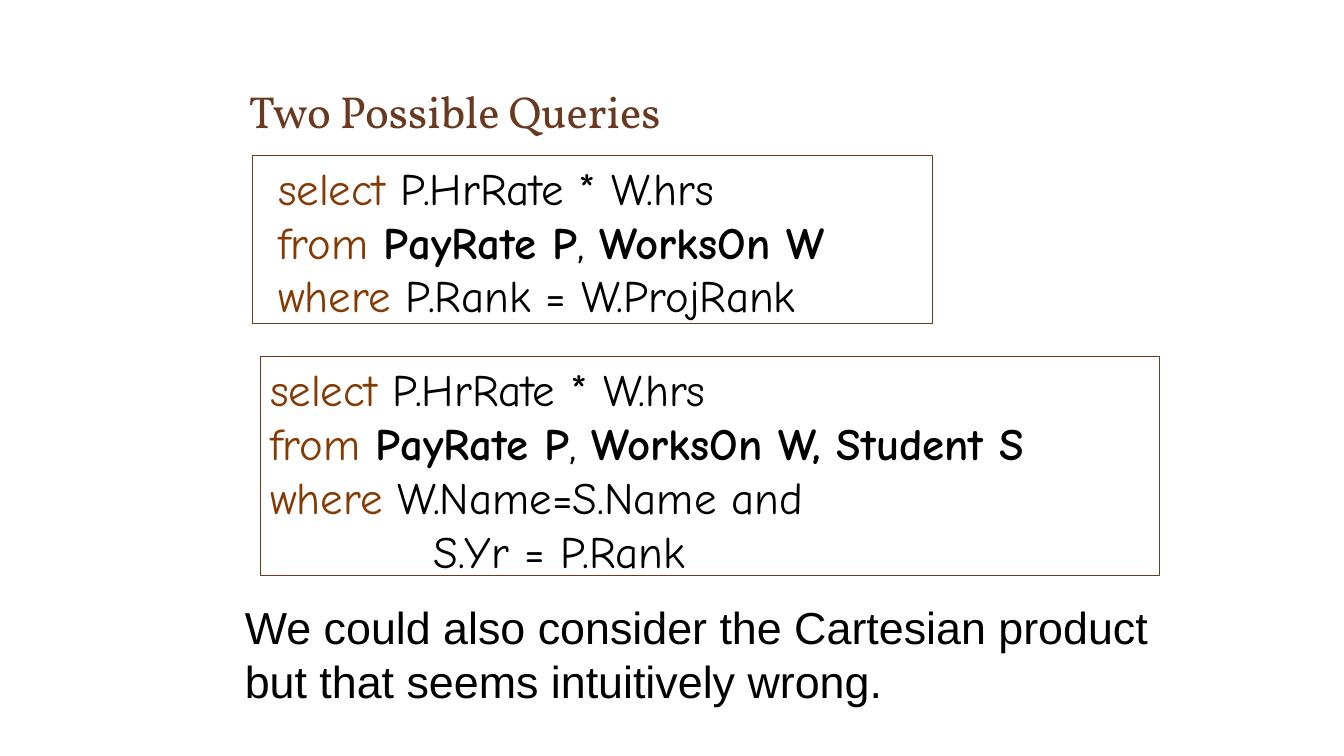
from dataclasses import dataclass

import pptx
import pptx.dml.color
import pptx.enum.shapes
import pptx.enum.text
import pptx.util

EMU_PER_PX = 9144


@dataclass(frozen=True)
class Theme:
    brown: str = "6A3A20"
    keyword: str = "833A03"
    black: str = "000000"
    title_font: str = "Vollkorn"
    code_font: str = "Comic Neue"
    body_font: str = "Arial"
    text_size: int = 32
    line_pitch: float = 38.5
    border: float = 0.75


def px(length):
    return pptx.util.Emu(length * EMU_PER_PX)


def rgb(color):
    return pptx.dml.color.RGBColor.from_string(color)


class SlideBuilder:
    def __init__(self, slide, theme):
        self.slide = slide
        self.theme = theme

    def text(self, box, lines, font, pitch=None, anchor="TOP"):
        """Each line is (indent, runs); each run is (text, color, bold)."""
        shape = self.slide.shapes.add_textbox(*map(px, box))
        frame = shape.text_frame
        frame.word_wrap = True
        frame.vertical_anchor = getattr(pptx.enum.text.MSO_ANCHOR, anchor)
        for number, (indent, runs) in enumerate(lines):
            paragraph = frame.add_paragraph() if number else frame.paragraphs[0]
            if pitch:
                paragraph.line_spacing = pptx.util.Pt(pitch)
            if indent:
                paragraph._p.get_or_add_pPr().set("marL", str(px(indent)))
            for text, color, bold in runs:
                run = paragraph.add_run()
                run.text = text
                run.font.name = font
                run.font.size = pptx.util.Pt(self.theme.text_size)
                run.font.bold = bold
                run.font.color.rgb = rgb(color)

    def title(self, box, text):
        line = (0, [(text, self.theme.brown, False)])
        self.text(box, [line], self.theme.title_font, anchor="BOTTOM")

    def note(self, box, lines):
        self.text(box, [(0, [(line, self.theme.black, False)]) for line in lines],
                  self.theme.body_font, self.theme.line_pitch)

    def query(self, box, lines):
        """Each line is (indent, keyword, pieces); the odd pieces are plain, the others bold."""
        theme = self.theme
        styled = []
        for indent, keyword, pieces in lines:
            runs = [(keyword + " ", theme.keyword, False)] if keyword else []
            runs += [(piece, theme.black, number % 2 == 0)
                     for number, piece in enumerate(pieces, 1) if piece]
            styled.append((indent, runs))
        self.text(box, styled, theme.code_font, theme.line_pitch)

    def frame(self, box):
        shape = self.slide.shapes.add_shape(
            pptx.enum.shapes.MSO_SHAPE.RECTANGLE, *map(px, box))
        shape.shadow.inherit = False
        shape.fill.background()
        shape.line.color.rgb = rgb(self.theme.brown)
        shape.line.width = pptx.util.Pt(self.theme.border)


def main():
    presentation = pptx.Presentation()
    presentation.slide_width = px(1333)
    presentation.slide_height = px(750)
    slide = presentation.slides.add_slide(presentation.slide_layouts[6])
    builder = SlideBuilder(slide, Theme())

    builder.title((237, 75, 850, 66), "Two Possible Queries")
    select = (0, "select", ["P.HrRate * W.hrs"])
    builder.query((266, 154, 628, 172), [
        select,
        (0, "from", ["", "PayRate P", ", ", "WorksOn W"]),
        (0, "where", ["P.Rank = W.ProjRank"]),
    ])
    builder.query((258, 354, 889, 226), [
        select,
        (0, "from", ["", "PayRate P", ", ", "WorksOn W, Student S"]),
        (0, "where", ["W.Name=S.Name and"]),
        (162, "", ["S.Yr = P.Rank"]),
    ])
    builder.note((233, 590, 930, 117), [
        "We could also consider the Cartesian product",
        "but that seems intuitively wrong.",
    ])
    builder.frame((250, 154, 675, 167))
    builder.frame((258, 354, 892, 217))

    presentation.save("out.pptx")


if __name__ == "__main__":
    main()
